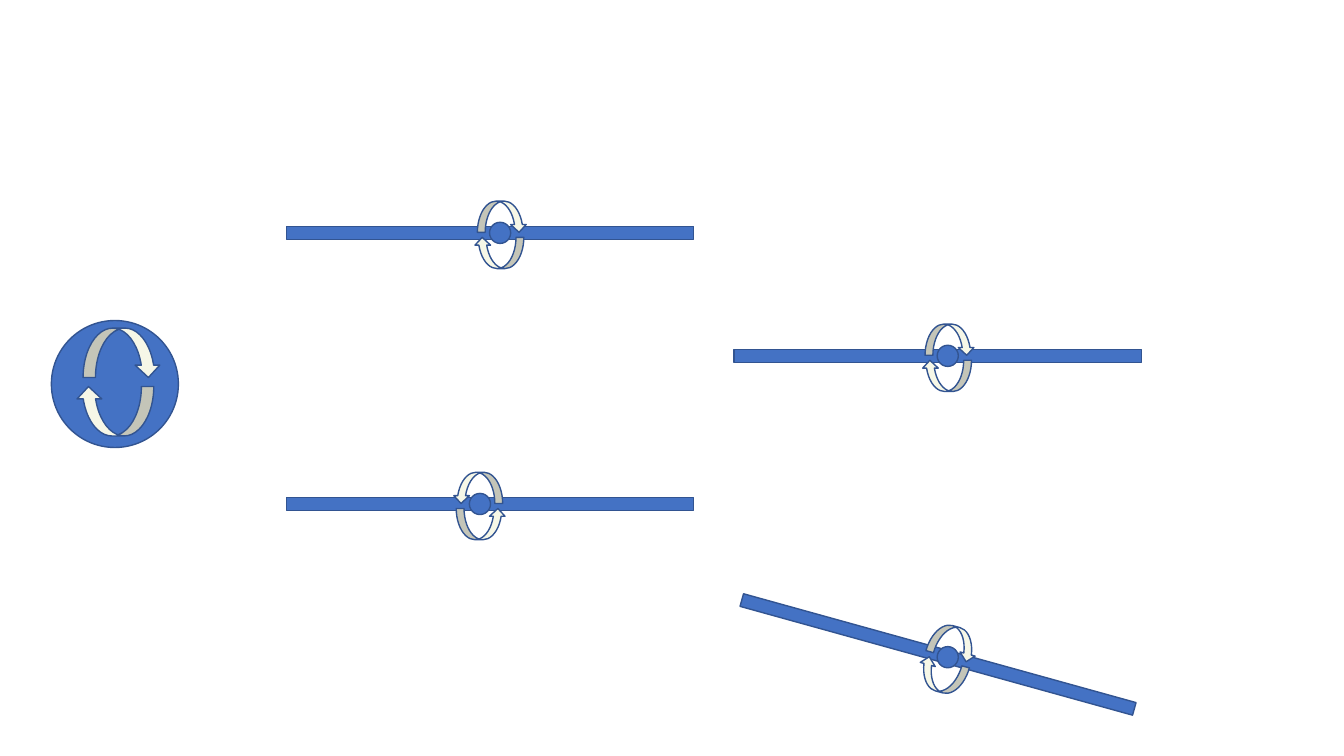
"""Draw a wheel and four bars, each with a pair of arrows turning about a hub."""
from dataclasses import dataclass
from math import cos, radians, sin

from pptx import Presentation
from pptx.dml.color import RGBColor
from pptx.enum.shapes import MSO_SHAPE
from pptx.util import Inches, Pt


@dataclass(frozen=True)
class Theme:
    """Hold the colours and the line width."""
    body: RGBColor = RGBColor.from_string("4472C4")
    arrow: RGBColor = RGBColor.from_string("F6F7E7")
    edge: RGBColor = RGBColor.from_string("325491")
    width: Pt = Pt(1)


theme = Theme()
deck = Presentation()
deck.slide_width, deck.slide_height = Inches(13.33), Inches(7.5)
slide = deck.slides.add_slide(deck.slide_layouts[6])


def add_part(kind, mid, size, fill, turn=0):
    """Add one shape, centred on a point."""
    (x, y), (wide, high) = mid, size
    part = slide.shapes.add_shape(kind, Inches(x - wide / 2), Inches(y - high / 2),
                                  Inches(wide), Inches(high))
    part.rotation = turn
    part.shadow.inherit = False
    part.fill.solid()
    part.fill.fore_color.rgb = fill
    part.line.color.rgb = theme.edge
    part.line.width = theme.width
    return part


def add_spin(hub, size, shifts, tilt=0, mirror=False):
    """Add the upper and lower arrow that circle a hub."""
    slope = radians(tilt)
    for lower, (dx, dy) in enumerate(shifts):
        dx = -dx if mirror else dx
        mid = (hub[0] + dx * cos(slope) - dy * sin(slope),
               hub[1] + dx * sin(slope) + dy * cos(slope))
        turn = (90 if mirror else 270) + tilt
        arrow = add_part(MSO_SHAPE.CURVED_RIGHT_ARROW, mid, size, theme.arrow, turn)
        frame = arrow._element.spPr.xfrm
        if bool(lower) == mirror:
            frame.set("flipH", "1")
        if lower:
            frame.set("flipV", "1")


centre = (1.14, 3.81)
add_part(MSO_SHAPE.OVAL, centre, (1.26, 1.26), theme.body)
add_spin(centre, (0.49, 0.77), [(0.07, -0.31), (0, 0.27)])

bars = [
    ((9.4, 6.52), 15.5, False),
    ((4.76, 5), 0, True),
    ((9.4, 3.53), 0, False),
    ((4.96, 2.31), 0, False),
]
for hub, tilt, mirror in bars:
    shift = 0.1 if mirror else -0.1
    middle = (hub[0] + shift * cos(radians(tilt)), hub[1] + shift * sin(radians(tilt)))
    add_part(MSO_SHAPE.RECTANGLE, middle, (4.04, 0.13), theme.body, tilt)
    add_part(MSO_SHAPE.OVAL, hub, (0.21, 0.21), theme.body, tilt)
    add_spin(hub, (0.31, 0.49), [(0.02, -0.16), (-0.01, 0.2)], tilt, mirror)

deck.save("out.pptx")
